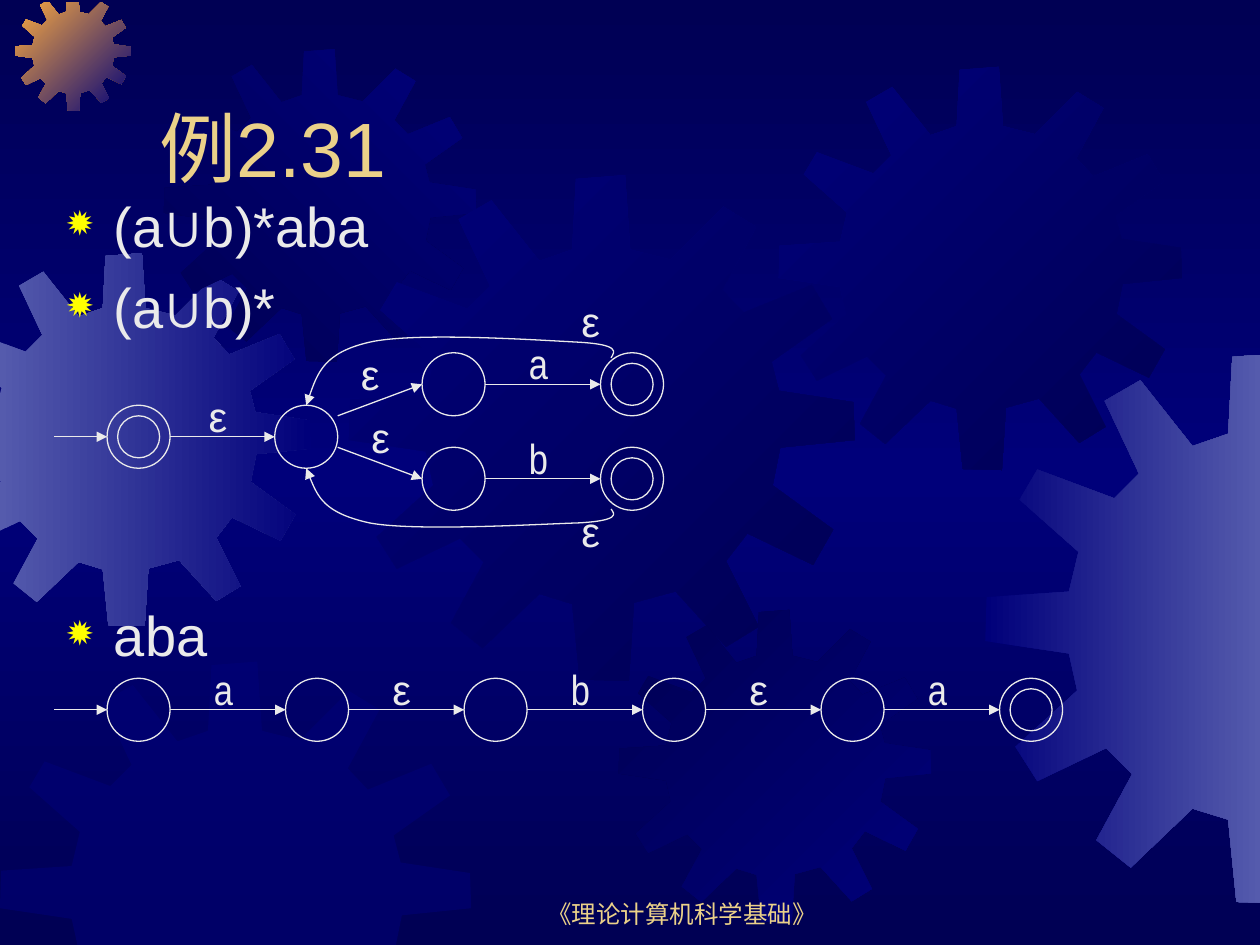
"""Build the slide on composing automata for a regular expression."""
from dataclasses import dataclass

from lxml import etree
from pptx import Presentation
from pptx.dml.color import RGBColor
from pptx.enum.shapes import MSO_CONNECTOR, MSO_SHAPE
from pptx.enum.text import MSO_ANCHOR, PP_ALIGN
from pptx.oxml.ns import qn
from pptx.util import Pt

STRAIGHT = MSO_CONNECTOR.STRAIGHT
OVAL = MSO_SHAPE.OVAL
TOP, BOTTOM = MSO_ANCHOR.TOP, MSO_ANCHOR.BOTTOM
LEFT, CENTER = PP_ALIGN.LEFT, PP_ALIGN.CENTER


@dataclass(frozen=True)
class Theme:
    dark: str = "000054"
    blue: str = "00007A"
    pale: str = "555BAD"
    orange: str = "FCAB40"
    gold: str = "EBD189"
    ink: str = "EAEAEA"
    bullet: str = "FFFF00"
    font: str = "Arial"
    narrow: str = "Arial Narrow"
    title: float = 44
    body: float = 32
    label: float = 24
    footer: float = 14
    line: float = 0.75


@dataclass(frozen=True)
class Gear:
    x: float
    y: float
    size: float
    stops: tuple
    angle: int = 0


@dataclass(frozen=True)
class State:
    x: float
    y: float
    final: bool = False


@dataclass(frozen=True)
class Arrow:
    x1: float
    y1: float
    x2: float
    y2: float
    label: str = ""


@dataclass(frozen=True)
class Label:
    text: str
    x: float
    y: float


T = Theme()
D, LABEL_W, LABEL_RISE = 36, 30, 30
GEAR_SPAN = 401
GEAR = [
    (255, 67), (223, 59), (219, 0), (180, 3), (177, 59), (151, 68), (113, 20), (87, 35),
    (112, 88), (94, 106), (38, 85), (25, 107), (68, 145), (61, 174), (1, 178), (0, 210),
    (61, 219), (67, 246), (22, 287), (38, 312), (88, 288), (107, 307), (81, 355), (106, 375),
    (151, 332), (177, 340), (183, 400), (222, 401), (226, 339), (259, 330), (299, 374), (325, 358),
    (299, 306), (316, 284), (368, 309), (384, 281), (336, 246), (342, 216), (401, 210), (400, 180),
    (341, 171), (335, 148), (383, 114), (367, 87), (313, 109), (296, 91), (323, 41), (297, 25)]
PAGE_EDGES = [(0, -0.7, 1), (0, 720.7, -1), (1, 1.4, 1), (1, 542.9, -1)]
GEARS = [
    Gear(-35.3, 144.7, 213.1, (T.pale, T.blue)),
    Gear(8.6, -2.9, 66.2, (T.orange, T.blue), 45),
    Gear(93.6, 28.1, 178.6, (T.dark, T.blue), 315),
    Gear(199.4, 100.1, 289, (T.blue, T.dark), 45),
    Gear(0, 378, 269.3, (T.blue,)),
    Gear(353.5, 348.5, 178.6, (T.dark, T.blue), 45),
    Gear(445, 38.2, 230.4, (T.blue, T.dark), 45),
    Gear(563, 201.6, 314.6, (T.blue, T.pale))]

STAR_Y, UP_Y, LOW_Y, CHAIN_Y = 249.6, 219.6, 273.6, 405.6
START_X, FIRST_X, STEP = 31, 61.2, 102
HUB_X, FORK_X, END_X = 157, 241.2, 343.2
CHAIN = "aεbεa"
STATES = [State(FIRST_X, STAR_Y, True), State(HUB_X, STAR_Y)]
ARROWS = [Arrow(START_X, y, FIRST_X, y) for y in (STAR_Y, CHAIN_Y)]
ARROWS.append(Arrow(FIRST_X + D, STAR_Y, HUB_X, STAR_Y, "ε"))
for branch_y, turn, letter in ((UP_Y, -6, "a"), (LOW_Y, 6, "b")):
    STATES += [State(FORK_X, branch_y), State(END_X, branch_y, True)]
    ARROWS += [Arrow(HUB_X + D, STAR_Y + 2 * turn, FORK_X, branch_y) if turn < 0
               else Arrow(HUB_X + D, STAR_Y + turn, FORK_X, branch_y),
               Arrow(FORK_X + D, branch_y, END_X, branch_y, letter)]
for i in range(len(CHAIN) + 1):
    STATES.append(State(FIRST_X + i * STEP, CHAIN_Y, i == len(CHAIN)))
for i, letter in enumerate(CHAIN):
    x = FIRST_X + i * STEP
    ARROWS.append(Arrow(x + D, CHAIN_Y, x + STEP, CHAIN_Y, letter))
LABELS = [Label("ε", 199.2, 195.6), Label("ε", 205.2, 231.6),
          Label("ε", 325.2, 165.6), Label("ε", 325.2, 285.6)]
LOOP_X = [175, 180, 185, 211, 237, 308, 331.2, 354.2, 351.4, 349.2]
LOOPS = [[231.6, 216.7, 201.6, 195.6, 189.6, 194.4, 195.6, 197, 200.9, 204.5],
         [267.6, 280.8, 293, 298.8, 303.8, 299.5, 298.8, 297.4, 293.8, 290.9]]


def rgb(color: str) -> RGBColor:
    return RGBColor.from_string(color)


def apply(target, values: dict) -> None:
    for name, value in values.items():
        setattr(target, name, value)


def child(parent, tag: str, **attrs: str):
    return etree.SubElement(parent, qn(tag), attrs)


def gradient(fill, element, stops: tuple, angle: int) -> None:
    fill.gradient()
    grad = element.find(".//" + qn("a:gradFill"))
    stop_list = grad.find(qn("a:gsLst"))
    stop_list.clear()
    for i, color in enumerate(stops):
        stop = child(stop_list, "a:gs", pos=str(100000 * i // (len(stops) - 1)))
        child(stop, "a:srgbClr", val=color)
    grad.find(qn("a:lin")).set("ang", str(angle * 60000))


def clip(points: list, axis: int, limit: float, side: int) -> list:
    kept = []
    for p, q in zip(points, points[1:] + points[:1]):
        p_in, q_in = (side * (pt[axis] - limit) >= 0 for pt in (p, q))
        if p_in:
            kept.append(p)
        if p_in != q_in:
            t = (limit - p[axis]) / (q[axis] - p[axis])
            kept.append(tuple(a + t * (b - a) for a, b in zip(p, q)))
    return kept


def freeform(s, points: list, close: bool):
    pts = [(Pt(x), Pt(y)) for x, y in points]
    builder = s.shapes.build_freeform(*pts[0], scale=1.0)
    builder.add_line_segments(pts[1:], close=close)
    sp = builder.convert_to_shape()
    sp.shadow.inherit = False
    return sp


def draw_gear(s, gear: Gear) -> None:
    k = gear.size / GEAR_SPAN
    points = [(gear.x + k * x, gear.y + k * y) for x, y in GEAR]
    for edge in PAGE_EDGES:
        points = clip(points, *edge)
    sp = freeform(s, points, True)
    sp.line.fill.background()
    if len(gear.stops) > 1:
        gradient(sp.fill, sp.element, gear.stops, gear.angle)
    else:
        sp.fill.solid()
        sp.fill.fore_color.rgb = rgb(gear.stops[0])
        child(sp.element.spPr.find(".//" + qn("a:srgbClr")), "a:alpha", val="50000")


def outline(sp, arrow_end: str = "") -> None:
    sp.line.color.rgb = rgb(T.ink)
    sp.line.width = Pt(T.line)
    if arrow_end:
        child(sp.line._get_or_add_ln(), arrow_end, type="triangle")


def draw_state(s, state: State) -> None:
    for inset in (0, 6) if state.final else (0,):
        size = Pt(D - 2 * inset)
        sp = s.shapes.add_shape(OVAL, Pt(state.x + inset), Pt(state.y - D / 2 + inset), size, size)
        sp.shadow.inherit = False
        sp.fill.background()
        outline(sp)


def add_text(s, box: tuple, lines: list, size: float, color: str, font: str = T.font,
             anchor=TOP, align=LEFT, gaps: tuple = (0,), bullets: bool = False) -> None:
    tf = s.shapes.add_textbox(*map(Pt, box)).text_frame
    apply(tf, {"word_wrap": True, "vertical_anchor": anchor})
    for i, (line, gap) in enumerate(zip(lines, gaps)):
        p = tf.add_paragraph() if i else tf.paragraphs[0]
        apply(p, {"alignment": align, "space_before": Pt(gap)})
        if bullets:
            props = p._p.get_or_add_pPr()
            apply_indent = {"marL": str(Pt(27)), "indent": str(-Pt(27))}
            props.attrib.update(apply_indent)
            child(child(props, "a:buClr"), "a:srgbClr", val=T.bullet)
            child(props, "a:buSzPct", val="80000")
            child(props, "a:buChar", char="✹")
        r = p.add_run()
        r.text = line
        apply(r.font, {"size": Pt(size), "name": font})
        r.font.color.rgb = rgb(color)


def draw_label(s, label: Label) -> None:
    font = T.font if label.text == "ε" else T.narrow
    add_text(s, (label.x, label.y, LABEL_W, D), [label.text], T.label, T.ink, font)


def draw_arrow(s, arrow: Arrow) -> None:
    ends = map(Pt, (arrow.x1, arrow.y1, arrow.x2, arrow.y2))
    sp = s.shapes.add_connector(STRAIGHT, *ends)
    outline(sp, "a:tailEnd")
    child(sp.element.spPr, "a:effectLst")
    if arrow.label:
        x = (arrow.x1 + arrow.x2 - LABEL_W) / 2
        draw_label(s, Label(arrow.label, x, arrow.y1 - LABEL_RISE))


def draw_loop(s, ys: list) -> None:
    sp = freeform(s, list(zip(LOOP_X, ys)), False)
    route = sp.element.find(".//" + qn("a:path"))
    legs = route.findall(qn("a:lnTo"))
    for i in range(0, len(legs), 3):
        curve = child(route, "a:cubicBezTo")
        for leg in legs[i:i + 3]:
            curve.append(leg[0])
            route.remove(leg)
    sp.fill.background()
    outline(sp, "a:headEnd")


def main() -> None:
    prs = Presentation()
    apply(prs, {"slide_width": Pt(720), "slide_height": Pt(540)})
    s = prs.slides.add_slide(prs.slide_layouts[6])
    gradient(s.background.fill, s.element, (T.dark, T.blue, T.dark), 90)
    for gear in GEARS:
        draw_gear(s, gear)
    add_text(s, (275.8, 498, 228, 36), ["《理论计算机科学基础》"], T.footer, T.gold,
             anchor=BOTTOM, align=CENTER)
    add_text(s, (84, 24, 612, 90), ["例2.31"], T.title, T.gold, anchor=BOTTOM)
    add_text(s, (31, 106, 612, 354), ["(a∪b)*aba", "(a∪b)*", "aba"], T.body, T.ink,
             gaps=(0, 8, 149), bullets=True)
    for draw, items in ((draw_state, STATES), (draw_arrow, ARROWS),
                        (draw_loop, LOOPS), (draw_label, LABELS)):
        for item in items:
            draw(s, item)
    prs.save("out.pptx")


if __name__ == "__main__":
    main()
